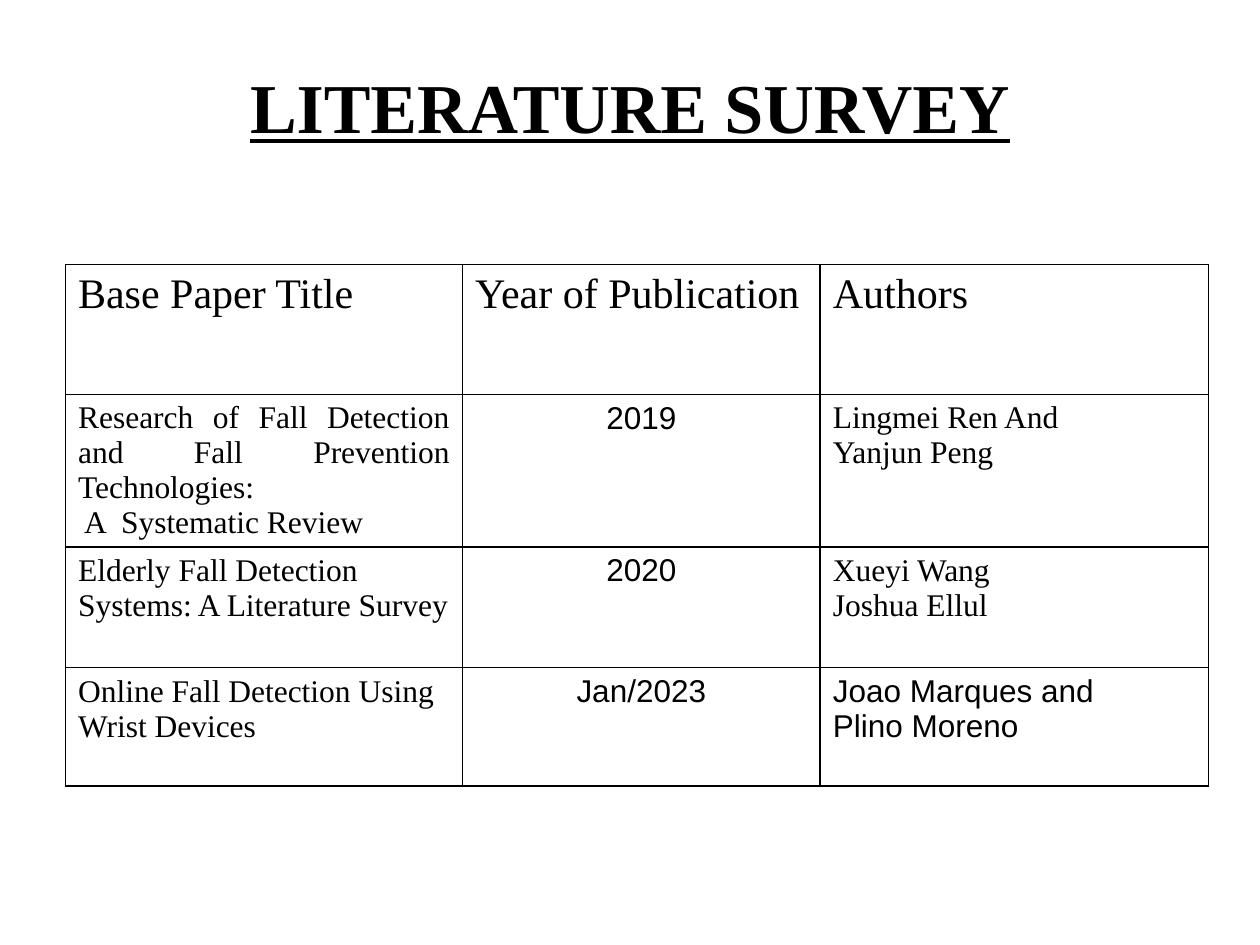
from pptx import Presentation
from pptx.dml.color import RGBColor
from pptx.enum.text import MSO_ANCHOR, PP_ALIGN as Align
from pptx.oxml import parse_xml
from pptx.oxml.ns import nsdecls
from pptx.util import Inches, Pt

BLACK = RGBColor(0, 0, 0)
WHITE = RGBColor(255, 255, 255)
SERIF, SANS = "Times New Roman", "Arial"


def style(run, size, name, **more):
    look = {"size": Pt(size), "name": name, **more}
    for key, value in look.items():
        setattr(run.font, key, value)
    run.font.color.rgb = BLACK


def border(cell):
    props = cell._tc.get_or_add_tcPr()
    for spot, side in enumerate(("lnL", "lnR", "lnT", "lnB")):
        props.insert(spot, parse_xml(
            f'<a:{side} {nsdecls("a")} w="{Pt(1)}"><a:solidFill>'
            f'<a:srgbClr val="{BLACK}"/></a:solidFill></a:{side}>'))


deck = Presentation()
deck.slide_width, deck.slide_height = Inches(10), Inches(7.5)
slide = deck.slides.add_slide(deck.slide_layouts[5])

# Title
title = slide.shapes.title
title.left, title.top = Inches(0.5), Inches(0.21)
title.width, title.height = Inches(9), Inches(1.25)
title.text_frame.vertical_anchor = MSO_ANCHOR.MIDDLE
title.text_frame.text = "LITERATURE SURVEY"
head = title.text_frame.paragraphs[0]
head.alignment = Align.CENTER
style(head.runs[0], 40, SERIF, bold=True, underline=True)

# Survey rows: each cell is text, size, font, alignment
L, C, J = Align.LEFT, Align.CENTER, Align.JUSTIFY
papers = [
    [("Base Paper Title", 24, SERIF, L),
     ("Year of Publication", 24, SERIF, L),
     ("Authors", 24, SERIF, L)],
    [("Research of Fall Detection and Fall Prevention Technologies:\n"
      " A  Systematic Review", 18, SERIF, J),
     ("2019", 18, SANS, C),
     ("Lingmei Ren And\nYanjun Peng", 18, SERIF, L)],
    [("Elderly Fall Detection Systems: A Literature Survey", 18, SERIF, L),
     ("2020", 18, SANS, C),
     ("Xueyi Wang\nJoshua Ellul", 18, SERIF, L)],
    [("Online Fall Detection Using Wrist Devices", 18, SERIF, L),
     ("Jan/2023", 18, SANS, C),
     ("Joao Marques and\nPlino Moreno", 18, SANS, L)],
]
widths = [3.15, 2.84, 3.08]
heights = [1.03, 1.21, 0.96, 0.94]

# Table
table = slide.shapes.add_table(
    len(heights), len(widths), Inches(0.52), Inches(2.1),
    Inches(sum(widths)), Inches(sum(heights))).table
table.first_row = table.horz_banding = False
for col, width in zip(table.columns, widths):
    col.width = Inches(width)
for row, height, paper in zip(table.rows, heights, papers):
    row.height = Inches(height)
    for cell, (text, size, name, align) in zip(row.cells, paper):
        cell.text = text
        cell.fill.solid()
        cell.fill.fore_color.rgb = WHITE
        border(cell)
        for para in cell.text_frame.paragraphs:
            para.alignment = align
            style(para.runs[0], size, name)

deck.save("out.pptx")
